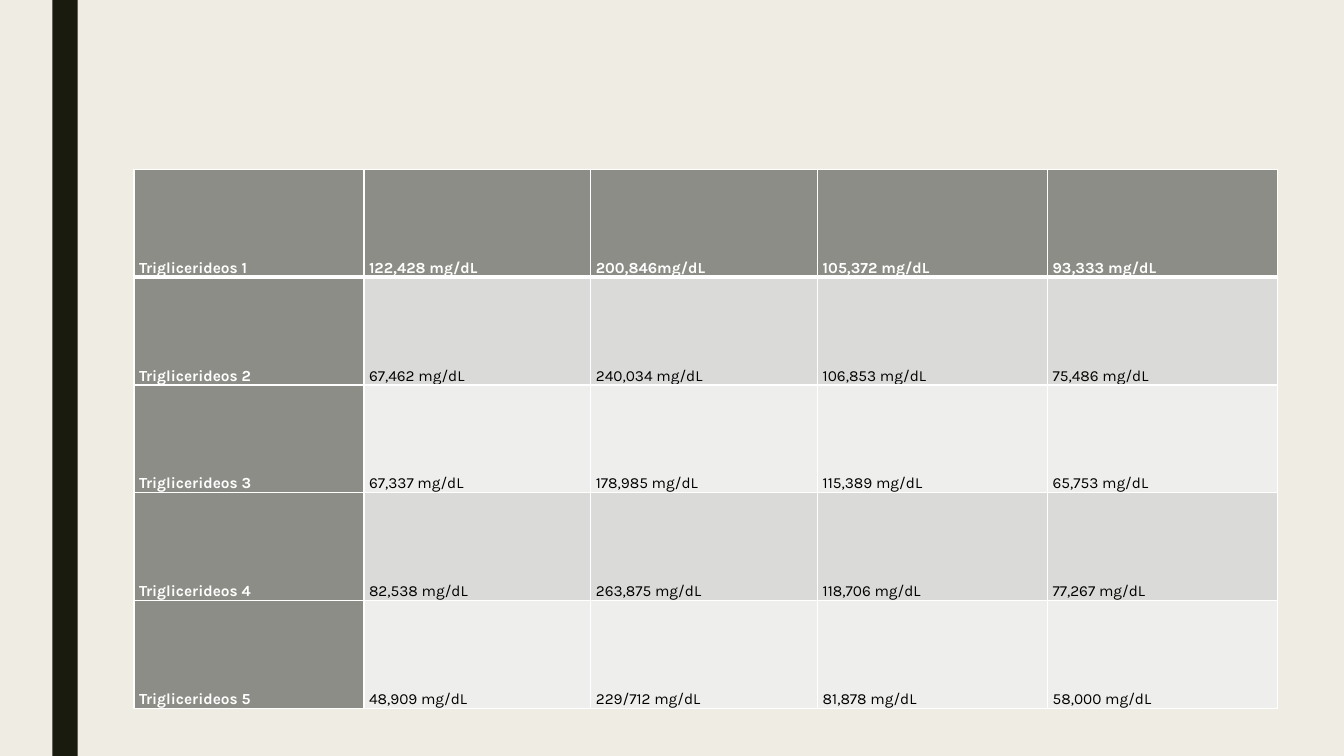
from dataclasses import dataclass

from pptx import Presentation
from pptx.dml.color import RGBColor as RGB
from pptx.enum.shapes import MSO_SHAPE as Shape
from pptx.enum.text import MSO_ANCHOR as Anchor
from pptx.oxml import parse_xml
from pptx.oxml.ns import nsdecls
from pptx.util import Inches, Pt


@dataclass(frozen=True)
class Theme:
    """Colours, font and sizes of the slide."""
    background: str = "EFEDE3"
    stripe: str = "191B0E"
    heading: str = "8C8D86"
    bands: tuple = ("EEEEED", "DADBD9")
    light: str = "FFFFFF"
    dark: str = "000000"
    font: str = "Karla"
    size: int = 11
    thin: int = 1
    thick: int = 3


THEME = Theme()
COLUMN_WIDTHS = (2.28, 2.25, 2.25, 2.28, 2.28)
ROW_HEIGHT = 1.07
RESULTS = (
    ("Triglicerideos 1", "122,428 mg/dL", "200,846mg/dL", "105,372 mg/dL", "93,333 mg/dL"),
    ("Triglicerideos 2", "67,462 mg/dL", "240,034 mg/dL", "106,853 mg/dL", "75,486 mg/dL"),
    ("Triglicerideos 3", "67,337 mg/dL", "178,985 mg/dL", "115,389 mg/dL", "65,753 mg/dL"),
    ("Triglicerideos 4", "82,538 mg/dL", "263,875 mg/dL", "118,706 mg/dL", "77,267 mg/dL"),
    ("Triglicerideos 5", "48,909 mg/dL", "229/712 mg/dL", "81,878 mg/dL", "58,000 mg/dL"),
)


def paint(fill, color):
    """Give a fill one solid colour."""
    fill.solid()
    fill.fore_color.rgb = RGB.from_string(color)


def add_stripe(s, height):
    """Draw the dark vertical stripe at the left."""
    sp = s.shapes.add_shape(Shape.RECTANGLE, Inches(0.52), 0, Inches(0.25), height)
    sp.shadow.inherit = False
    paint(sp.fill, THEME.stripe)
    sp.line.fill.background()


def set_borders(cell, row):
    """Draw white cell borders, thicker below the first row."""
    top = THEME.thick if row == 1 else THEME.thin
    bottom = THEME.thick if row == 0 else THEME.thin
    widths = {"L": THEME.thin, "R": THEME.thin, "T": top, "B": bottom}
    tc_pr = cell._tc.get_or_add_tcPr()
    for side, width in widths.items():
        tc_pr.append(parse_xml(
            f'<a:ln{side} {nsdecls("a")} w="{Pt(width)}"><a:solidFill>'
            f'<a:srgbClr val="{THEME.light}"/></a:solidFill></a:ln{side}>'))


def format_cell(cell, text, row, is_heading):
    """Write and format one table cell."""
    set_borders(cell, row)
    paint(cell.fill, THEME.heading if is_heading else THEME.bands[row % 2])
    cell.vertical_anchor = Anchor.BOTTOM
    cell.margin_left = cell.margin_right = Inches(0.05)
    cell.margin_top = cell.margin_bottom = 0
    p = cell.text_frame.paragraphs[0]
    p.text = text
    p.line_spacing = 1.07
    p.space_after = Pt(8)
    font = p.runs[0].font
    font.name, font.size, font.bold = THEME.font, Pt(THEME.size), is_heading
    font.color.rgb = RGB.from_string(THEME.light if is_heading else THEME.dark)


def add_results(s):
    """Add the table of triglyceride results."""
    table = s.shapes.add_table(
        len(RESULTS), len(COLUMN_WIDTHS), Inches(1.33), Inches(1.68),
        Inches(sum(COLUMN_WIDTHS)), Inches(ROW_HEIGHT * len(RESULTS))).table
    table.first_col = True
    for column, width in zip(table.columns, COLUMN_WIDTHS):
        column.width = Inches(width)
    for i, values in enumerate(RESULTS):
        table.rows[i].height = Inches(ROW_HEIGHT)
        for j, text in enumerate(values):
            format_cell(table.cell(i, j), text, i, i == 0 or j == 0)


def main():
    """Build and save the slide."""
    prs = Presentation()
    prs.slide_width, prs.slide_height = Inches(13.33), Inches(7.5)
    s = prs.slides.add_slide(prs.slide_layouts[6])
    paint(s.background.fill, THEME.background)
    add_stripe(s, prs.slide_height)
    add_results(s)
    prs.save("out.pptx")


if __name__ == "__main__":
    main()
